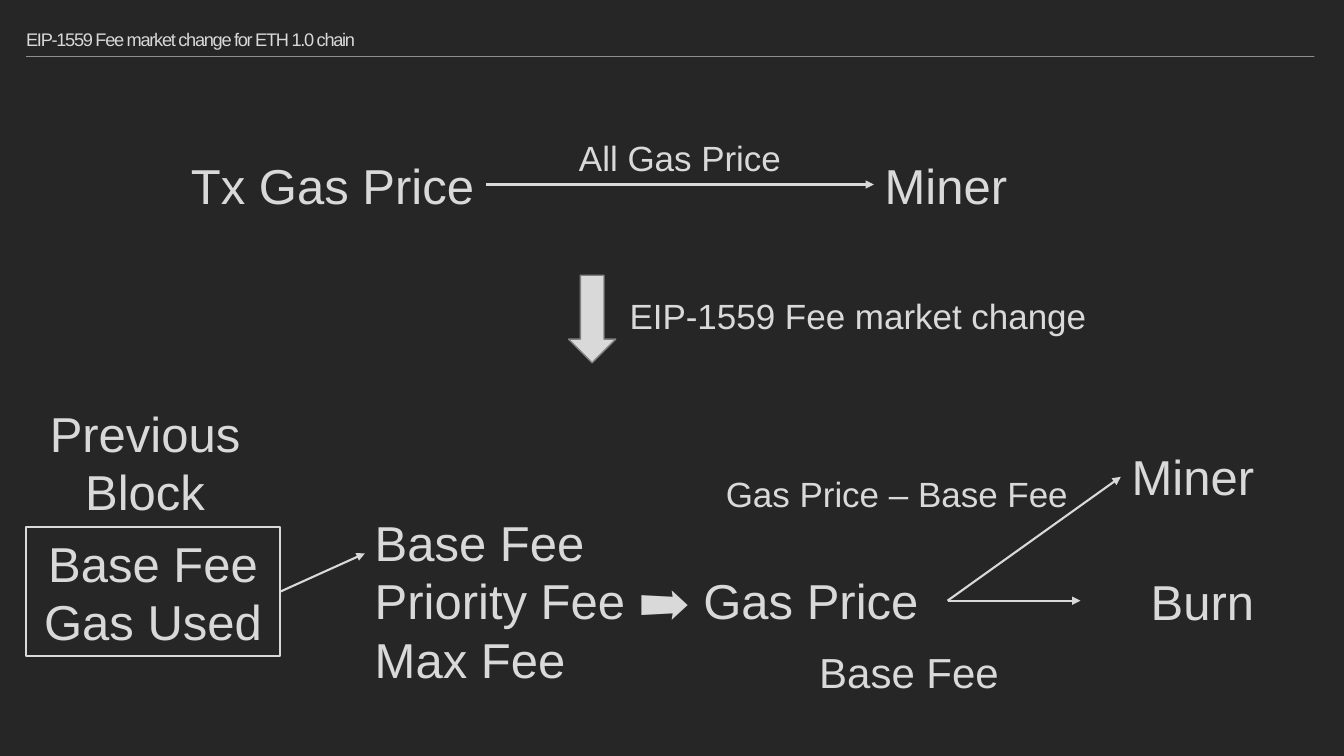
from dataclasses import dataclass

from pptx import Presentation
from pptx.dml.color import RGBColor
from pptx.enum.shapes import MSO_CONNECTOR, MSO_SHAPE
from pptx.enum.text import MSO_ANCHOR, MSO_AUTO_SIZE, PP_ALIGN
from pptx.oxml import parse_xml
from pptx.oxml.ns import nsdecls
from pptx.shapes.autoshape import Shape
from pptx.shapes.connector import Connector
from pptx.slide import Slide
from pptx.util import Pt

HUES = {"back": "262626", "text": "D9D9D9", "rule": "F2F2F2", "edge": "808080"}
FONT = "Arial"


@dataclass
class Label:
    lines: list[str]
    left: float
    top: float
    width: float
    height: float
    size: float = 35
    wrap: bool = False
    align: PP_ALIGN = PP_ALIGN.CENTER
    framed: bool = False


@dataclass
class Arrow:
    start: tuple[float, float]
    end: tuple[float, float]


LABELS = [
    Label(["Base Fee", "Priority Fee ➡ Gas Price", "Max Fee"],
          260.6, 362.2, 416.2, 134.6, wrap=True, align=PP_ALIGN.LEFT),
    Label(["Miner"], 800.6, 315.4, 103, 49.7),
    Label(["Base Fee"], 577.4, 458.6, 144, 43.9, 30),
    Label(["Gas Price – Base Fee"], 509.8, 334.1, 261.4, 37.4, 25),
    Label(["Burn"], 814.3, 404.6, 89.3, 49.7),
    Label(["Miner"], 624.2, 107.3, 103, 49.7),
    Label(["Tx Gas Price"], 128.2, 107.3, 218.9, 49.7),
    Label(["All Gas Price"], 405.4, 94.3, 160.6, 37.4, 25),
    Label(["Base Fee", "Gas Used"], 18.7, 376.6, 181.4, 92.2,
          wrap=True, framed=True),
    Label(["Previous Block"], 13, 284.4, 181.4, 92.2, wrap=True),
    Label(["EIP-1559 Fee market change"], 440.6, 206.6, 344.2, 37.4, 25),
]
FORK = (676.8, 429.1)
ARROWS = [
    Arrow(FORK, (800.6, 340.6)),
    Arrow(FORK, (771.8, 429.1)),
    Arrow((347, 131.8), (624.2, 131.8)),
    Arrow((200.2, 422.6), (260.6, 395.3)),
]


def hue(name: str) -> RGBColor:
    """Return the named colour."""
    return RGBColor.from_string(HUES[name])


def add_run(para, text: str, size: float):
    """Add one styled run to a paragraph and return it."""
    run = para.add_run()
    run.text = text
    run.font.name = FONT
    run.font.size = Pt(size)
    run.font.color.rgb = hue("text")
    return run


def add_line(slide: Slide, start: tuple[float, float], end: tuple[float, float],
             name: str, width: float) -> Connector:
    """Draw a straight line without shadow."""
    line = slide.shapes.add_connector(
        MSO_CONNECTOR.STRAIGHT, *(Pt(n) for n in start + end))
    line.line.color.rgb = hue(name)
    line.line.width = Pt(width)
    line._element.spPr.append(parse_xml(f"<a:effectLst {nsdecls('a')}/>"))
    return line


def add_arrow(slide: Slide, arrow: Arrow) -> None:
    """Draw a line with a triangle at its end."""
    line = add_line(slide, arrow.start, arrow.end, "text", 1.5)
    line.line._get_or_add_ln().append(
        parse_xml(f'<a:tailEnd {nsdecls("a")} type="triangle"/>'))


def add_label(slide: Slide, label: Label) -> None:
    """Draw a text box, or a framed one."""
    box = [Pt(n) for n in (label.left, label.top, label.width, label.height)]
    if label.framed:
        shape: Shape = slide.shapes.add_shape(MSO_SHAPE.RECTANGLE, *box)
        shape.shadow.inherit = False
        shape.fill.background()
        shape.line.color.rgb = hue("text")
        shape.line.width = Pt(1.5)
    else:
        shape = slide.shapes.add_textbox(*box)
    frame = shape.text_frame
    frame.word_wrap = label.wrap
    frame.auto_size = MSO_AUTO_SIZE.SHAPE_TO_FIT_TEXT
    for i, text in enumerate(label.lines):
        para = frame.add_paragraph() if i else frame.paragraphs[0]
        para.alignment = label.align
        add_run(para, text, label.size)


def add_title(slide: Slide) -> None:
    """Place the title and the rule below it."""
    title = slide.shapes.title
    title.left, title.top = Pt(18.7), Pt(15.1)
    title.width, title.height = Pt(922.3), Pt(25.2)
    frame = title.text_frame
    frame.auto_size = MSO_AUTO_SIZE.NONE
    frame.word_wrap = True
    frame.vertical_anchor = MSO_ANCHOR.MIDDLE
    frame.margin_left = frame.margin_right = 0
    frame.margin_top = frame.margin_bottom = Pt(3.6)
    para = frame.paragraphs[0]
    para.alignment = PP_ALIGN.LEFT
    para.line_spacing = 1.05
    run = add_run(para, "EIP-1559 Fee market change for ETH 1.0 chain", 13)
    run._r.get_or_add_rPr().set("spc", "-90")
    rule = add_line(slide, (18.7, 40.3), (938.9, 40.3), "rule", 0.5)
    tint = rule.line._get_or_add_ln().solidFill[0]
    tint.append(parse_xml(f'<a:alpha {nsdecls("a")} val="80000"/>'))


def add_drop(slide: Slide) -> None:
    """Draw the block arrow that points down."""
    drop = slide.shapes.add_shape(
        MSO_SHAPE.DOWN_ARROW, Pt(406.1), Pt(196.6), Pt(33.8), Pt(62.6))
    drop.shadow.inherit = False
    drop.fill.solid()
    drop.fill.fore_color.rgb = hue("text")
    drop.line.color.rgb = hue("edge")
    drop.line.width = Pt(1)


def main() -> None:
    """Build and save the slide."""
    deck = Presentation()
    deck.slide_width, deck.slide_height = Pt(960), Pt(540)
    slide = deck.slides.add_slide(deck.slide_layouts[5])
    slide.background.fill.solid()
    slide.background.fill.fore_color.rgb = hue("back")
    add_title(slide)
    for label in LABELS:
        add_label(slide, label)
    for arrow in ARROWS:
        add_arrow(slide, arrow)
    add_drop(slide)
    deck.save("out.pptx")


if __name__ == "__main__":
    main()
